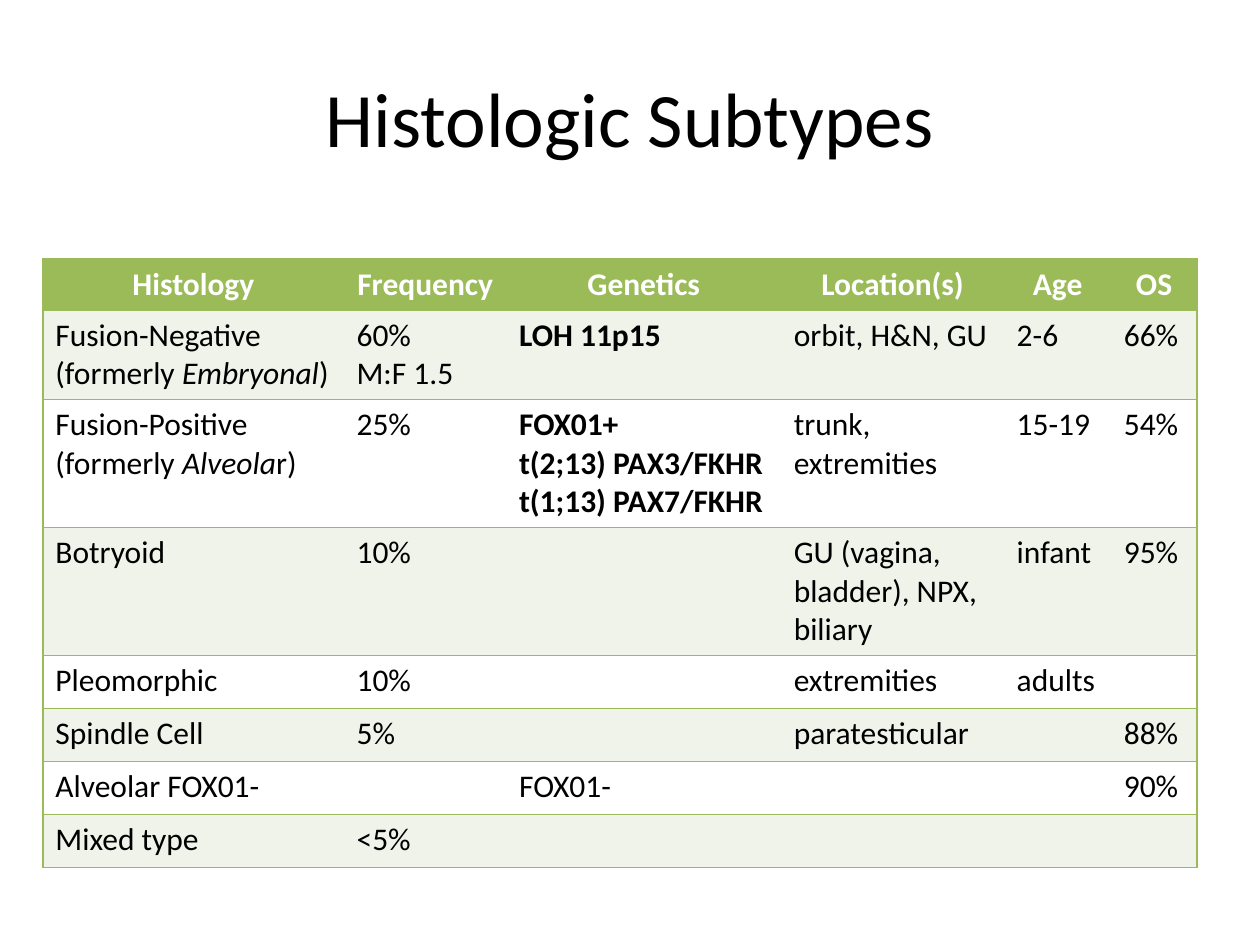
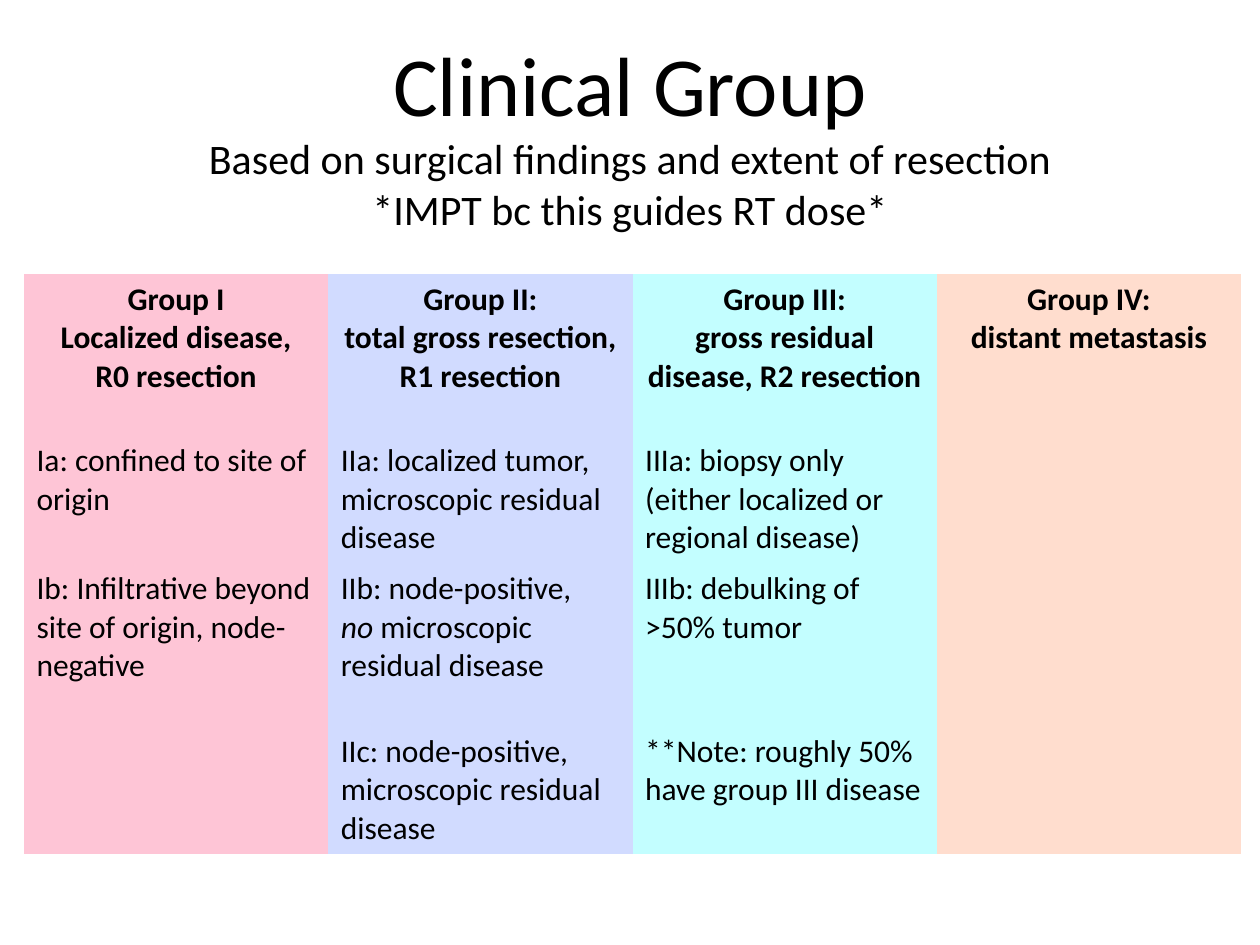
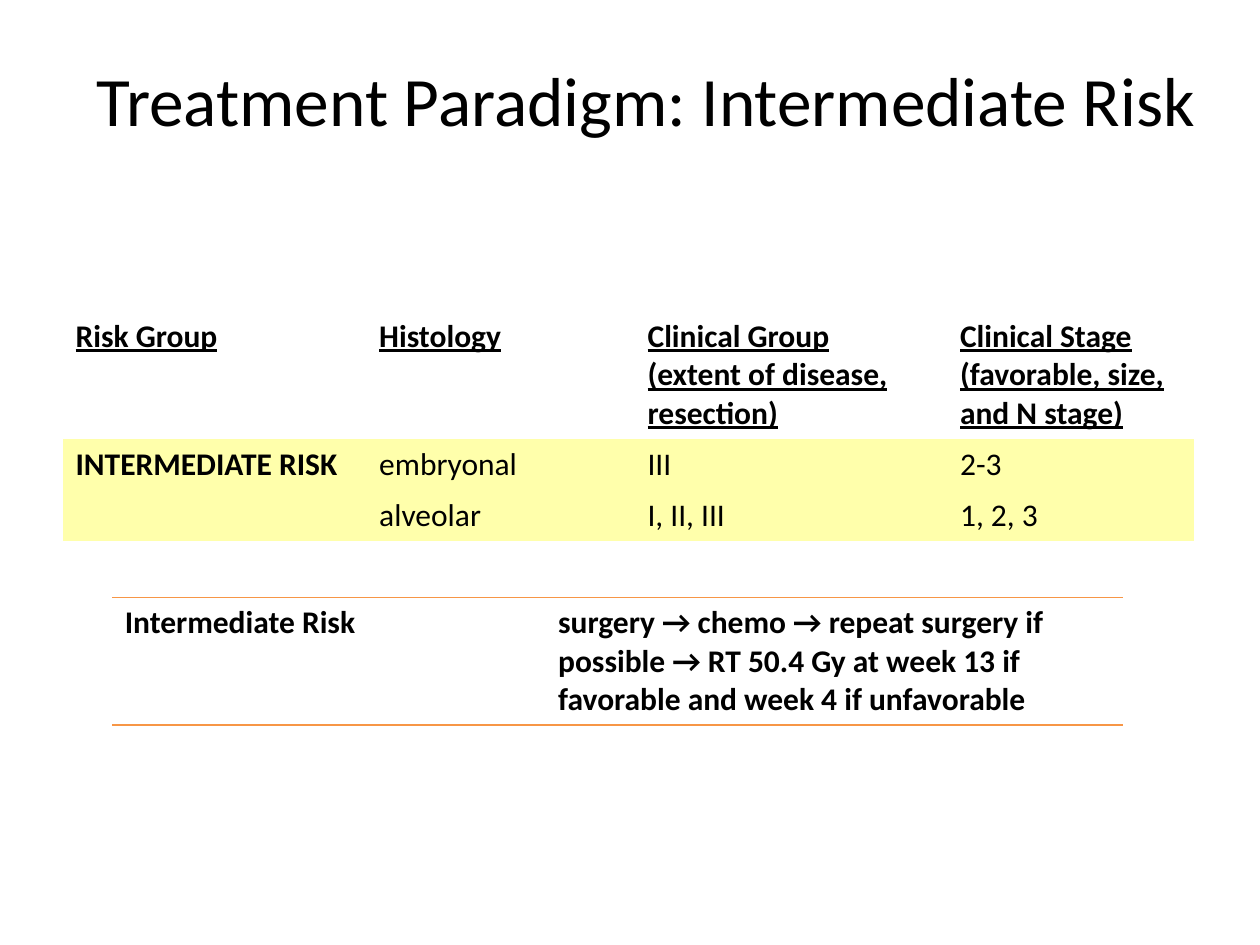
from lxml import etree
from pptx import Presentation
from pptx import util as u
from pptx.dml import color
from pptx.enum import text
from pptx.oxml import ns

WIDTH, HEIGHT = u.Inches(10), u.Inches(7.5)
FONT = "Calibri"
BLACK, WHITE = "000000", "FFFFFF"
GREEN, PALE_GREEN, YELLOW, ORANGE = "9BBB59", "EFF3EA", "FFFFAB", "F79646"
GROUP_FILLS = ["FEC5D6", "D1DBFF", "C3FEFF", "FFDDCE"]
BODY_SIZE, LINE_HEIGHT, CELL_PADDING = 18, 0.305, 0.1
PLAIN_TABLE = "{2D5ABB26-0587-4C30-8999-92F81FD0307C}"

SUBTYPES = [
    ["Histology", "Frequency", "Genetics", "Location(s)", "Age", "OS"],
    ["Fusion-Negative\n(formerly _Embryonal_)", "60%\nM:F 1.5", "LOH 11p15",
     "orbit, H&N, GU", "2-6", "66%"],
    ["Fusion-Positive\n(formerly _Alveola_r)", "25%",
     "FOX01+\nt(2;13) PAX3/FKHR\nt(1;13) PAX7/FKHR",
     "trunk, extremities", "15-19", "54%"],
    ["Botryoid", "10%", "", "GU (vagina, bladder), NPX, biliary", "infant", "95%"],
    ["Pleomorphic", "10%", "", "extremities", "adults", ""],
    ["Spindle Cell", "5%", "", "paratesticular", "", "88%"],
    ["Alveolar FOX01-", "", "FOX01-", "", "", "90%"],
    ["Mixed type", "<5%", "", "", "", ""],
]
CLINICAL_GROUPS = [
    ["Group I\nLocalized disease,\nR0 resection",
     "Group II:\ntotal gross resection,\nR1 resection",
     "Group III:\ngross residual disease, R2 resection",
     "Group IV:\ndistant metastasis"],
    ["Ia: confined to site of origin",
     "IIa: localized tumor, microscopic residual disease",
     "IIIa: biopsy only (either localized or regional disease)", ""],
    ["Ib: Infiltrative beyond site of origin, node-negative",
     "IIb: node-positive,\n_no_ microscopic residual disease",
     "IIIb: debulking of >50% tumor", ""],
    ["", "IIc: node-positive, microscopic residual disease",
     "**Note: roughly 50% have group III disease", ""],
]
RISK_GROUPS = [
    ["Risk Group", "Histology", "Clinical Group\n(extent of disease, resection)",
     "Clinical Stage\n(favorable, size, and N stage)"],
    ["INTERMEDIATE RISK", "embryonal", "III", "2-3"],
    ["", "alveolar", "I, II, III", "1, 2, 3"],
]
TREATMENT = [[
    "Intermediate Risk",
    "surgery → chemo → repeat surgery if possible → RT 50.4 Gy at week 13 "
    "if favorable and week 4 if unfavorable",
]]


def rgb(value):
    """Turn a hex string into a colour."""
    return color.RGBColor.from_string(value)


def across(percent):
    """Give a percentage of the slide's width."""
    return round(WIDTH * percent / 100)


def down(percent):
    """Give a percentage of the slide's height."""
    return round(HEIGHT * percent / 100)


def write(frame, content, sizes, ink=BLACK, bold=False, underline=None, centred=False):
    """Fill a text frame line by line, with text between underscores in italics."""
    for index, line in enumerate(content.split("\n")):
        paragraph = frame.paragraphs[0] if index == 0 else frame.add_paragraph()
        paragraph.alignment = text.PP_ALIGN.CENTER if centred else text.PP_ALIGN.LEFT
        for position, piece in enumerate(line.split("_")):
            if not piece:
                continue
            run = paragraph.add_run()
            run.text = piece
            font = run.font
            font.name, font.size = FONT, u.Pt(sizes[min(index, len(sizes) - 1)])
            font.bold, font.underline = bold, underline
            font.italic = True if position % 2 else None
            font.color.rgb = rgb(ink)


def add_titled_slide(presentation, title, box, sizes):
    """Add a slide whose title fills a box given in percentages of the slide."""
    slide = presentation.slides.add_slide(presentation.slide_layouts[5])
    shape = slide.shapes.title
    left, top, width, height = box
    shape.left, shape.top = across(left), down(top)
    shape.width, shape.height = across(width), down(height)
    frame = shape.text_frame
    frame.auto_size = text.MSO_AUTO_SIZE.NONE
    frame.vertical_anchor = text.MSO_ANCHOR.MIDDLE
    write(frame, title, sizes, centred=True)
    return slide


def add_border(cell, side, line_color):
    """Draw one side of a cell: L, R, T or B."""
    properties = cell._tc.get_or_add_tcPr()
    line = etree.SubElement(properties, ns.qn(f"a:ln{side}"), w=str(u.Pt(1)))
    fill = etree.SubElement(line, ns.qn("a:solidFill"))
    etree.SubElement(fill, ns.qn("a:srgbClr"), val=line_color)


def add_grid(slide, rows, corner, columns, line_counts, fill_of, style_of,
             line_color=None, framed=False):
    """Add a table with columns in percent and rows in text lines."""
    shape = slide.shapes.add_table(len(rows), len(columns), across(corner[0]),
                                   down(corner[1]), across(sum(columns)), 0)
    shape.element.xpath(".//a:tableStyleId")[0].text = PLAIN_TABLE
    table = shape.table
    for column, share in zip(table.columns, columns):
        column.width = across(share)
    for row, lines in zip(table.rows, line_counts):
        row.height = u.Inches(lines * LINE_HEIGHT + CELL_PADDING)
    last = len(columns) - 1
    for row, contents in enumerate(rows):
        for column, content in enumerate(contents):
            cell = table.cell(row, column)
            if line_color:
                outer = "L" * (column == 0) + "R" * (column == last)
                for side in (outer if framed else "") + "TB":
                    add_border(cell, side, line_color)
            fill = fill_of(row, column)
            if fill:
                cell.fill.solid()
                cell.fill.fore_color.rgb = rgb(fill)
            else:
                cell.fill.background()
            write(cell.text_frame, content, [BODY_SIZE], **style_of(row, column))
    return table


def add_subtypes(presentation):
    """Add the slide of histologic subtypes."""
    slide = add_titled_slide(presentation, "Histologic Subtypes", (5, 4, 90, 16.67), [44])

    def fill_of(row, column):
        """Band the rows below the heading."""
        return GREEN if row == 0 else PALE_GREEN if row % 2 else WHITE

    def style_of(row, column):
        """Set off the heading and the defining genetics."""
        if row == 0:
            return {"ink": WHITE, "bold": True, "centred": True}
        return {"bold": column == 2 and row <= 2}

    add_grid(slide, SUBTYPES, (3.4, 27.4), [23.9, 12.9, 21.8, 17.7, 8.5, 6.8],
             [1, 2, 3, 3] + [1.05] * 4, fill_of, style_of, GREEN, framed=True)


def add_clinical_groups(presentation):
    """Add the slide of clinical groups, one colour to a column."""
    title = ("Clinical Group\nBased on surgical findings and extent of resection\n"
             "*IMPT bc this guides RT dose*")
    slide = add_titled_slide(presentation, title, (5, 4, 90, 20.13), [48, 24])
    add_grid(slide, CLINICAL_GROUPS, (1.9, 29), [24.15] * 4, [3.87, 3, 3.9, 3],
             lambda row, column: GROUP_FILLS[column],
             lambda row, column: {"bold": row == 0, "centred": row == 0})


def add_treatment(presentation):
    """Add the slide of risk groups and their treatment."""
    slide = add_titled_slide(presentation, "Treatment Paradigm: Intermediate Risk",
                             (2.6, 2.13, 97.4, 16.67), [39.6])
    table = add_grid(slide, RISK_GROUPS, (5, 32.93), [24.1, 21.3, 24.8, 19.6], [3, 1, 1],
                     lambda row, column: YELLOW if row else None,
                     lambda row, column: {"bold": row == 0 or column == 0,
                                          "underline": True if row == 0 else None})
    table.cell(1, 0).merge(table.cell(2, 0))
    add_grid(slide, TREATMENT, (8.9, 63.2), [34.4, 45.8], [3],
             lambda row, column: None, lambda row, column: {"bold": True}, ORANGE)


def main():
    """Build and save the presentation."""
    presentation = Presentation()
    presentation.slide_width, presentation.slide_height = WIDTH, HEIGHT
    add_subtypes(presentation)
    add_clinical_groups(presentation)
    add_treatment(presentation)
    presentation.save("out.pptx")


if __name__ == "__main__":
    main()
